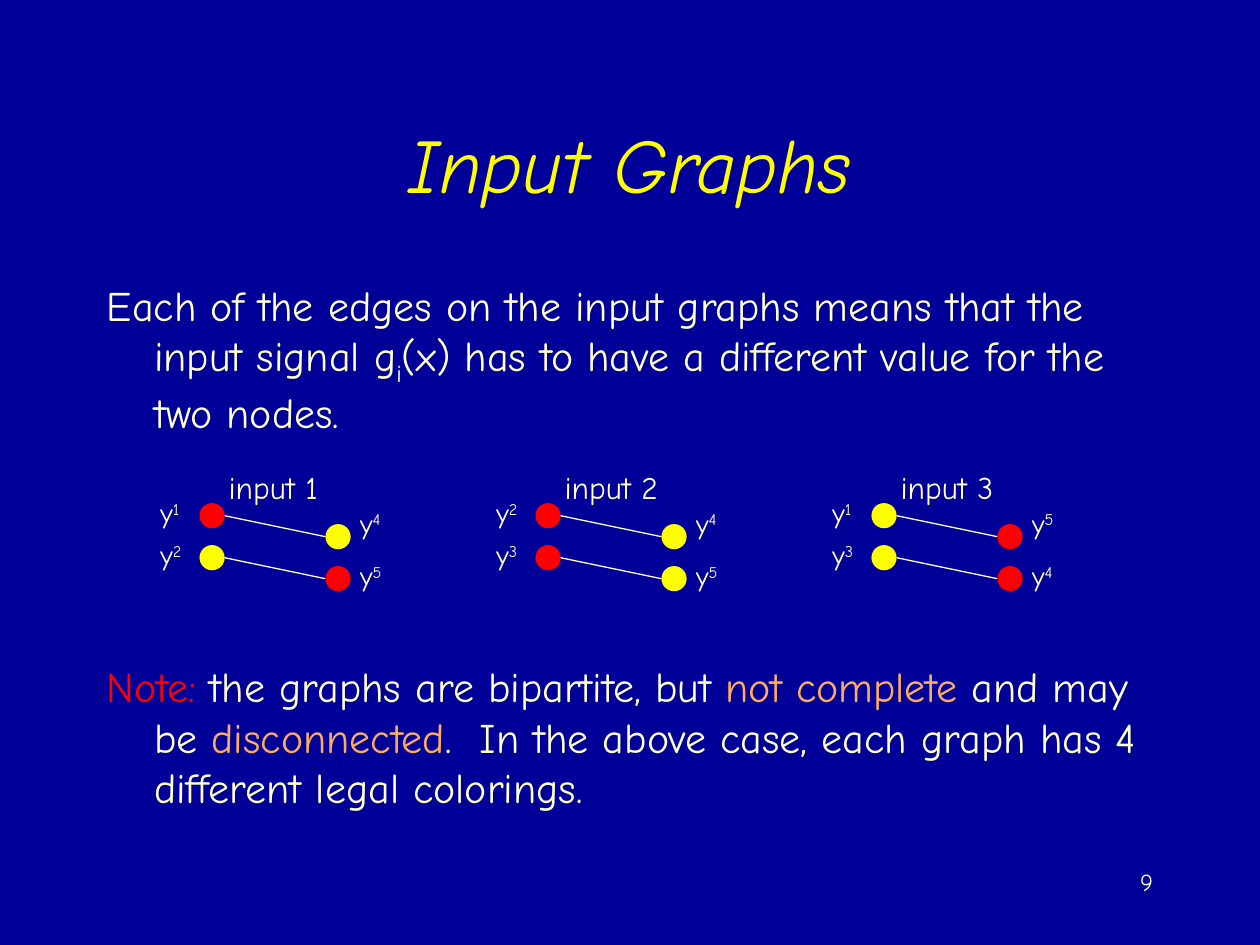
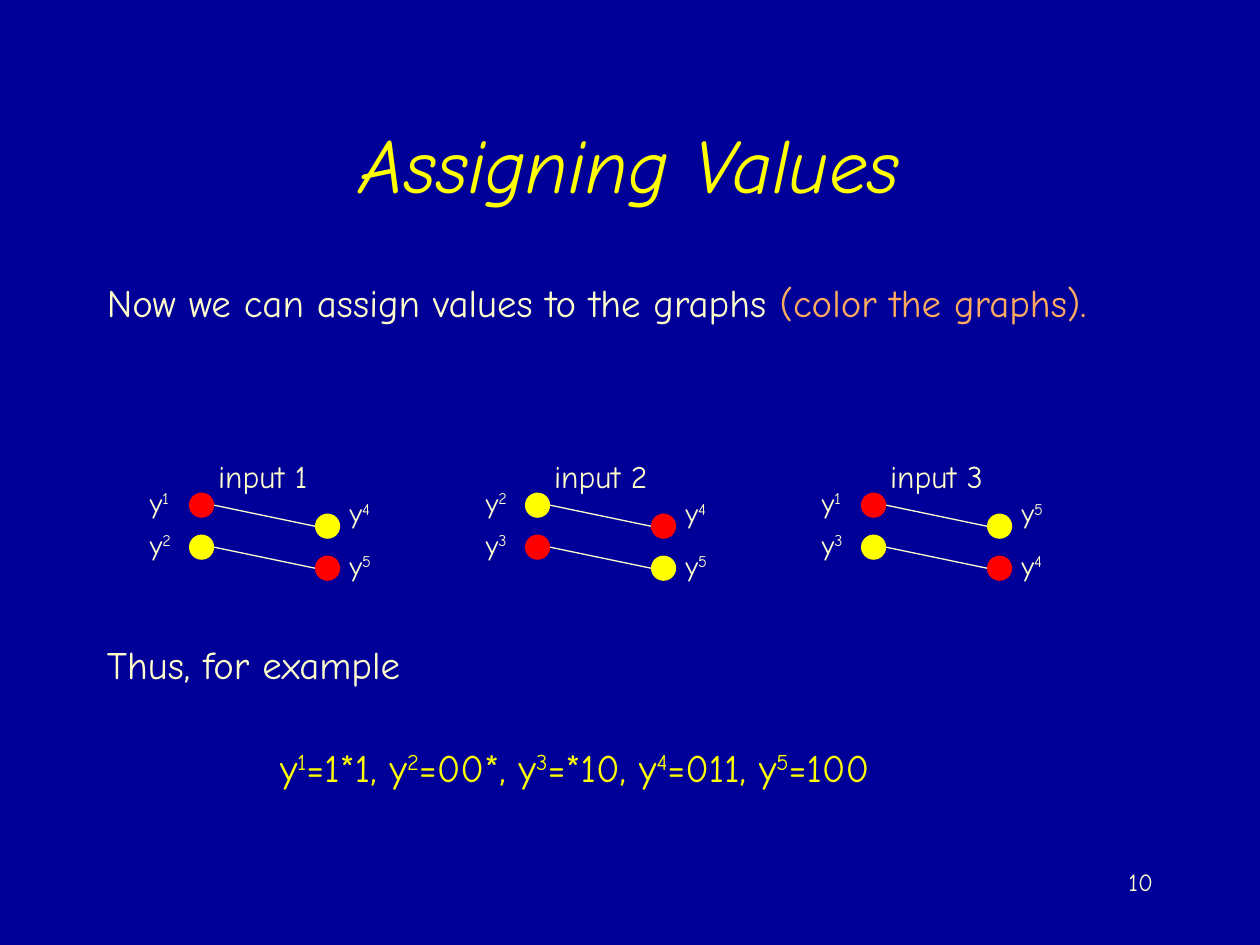
"""Build two slides about input graphs and their colorings."""
from lxml import etree
from pptx import Presentation
from pptx import util as u
from pptx.dml.color import RGBColor
from pptx.enum import shapes, text
from pptx.oxml.ns import qn

Pt = u.Pt
NAVY = RGBColor(0x00, 0x00, 0x99)
YELLOW = RGBColor(0xFF, 0xFF, 0x00)
CREAM = RGBColor(0xFF, 0xFF, 0xCC)
RED = RGBColor(0xFF, 0x00, 0x00)
ORANGE = RGBColor(0xFF, 0xAB, 0x5F)
FONT = "Comic Neue"
SUPER, SUB = 30, -25
HANGING = 27
NODE = 14.4
GRAPH_PITCH, COLUMN_PITCH, ROW_PITCH, COLUMN_DROP = 192, 72, 24, 12

INPUT_LABELS = [("1", "2", "4", "5"), ("2", "3", "4", "5"), ("1", "3", "5", "4")]
LEGAL_COLORINGS = [(RED, YELLOW, YELLOW, RED), (RED, RED, YELLOW, YELLOW),
                   (YELLOW, YELLOW, RED, RED)]
ASSIGNED_COLORINGS = [(RED, YELLOW, YELLOW, RED), (YELLOW, RED, RED, YELLOW),
                      (RED, YELLOW, YELLOW, RED)]
ASSIGNMENTS = ["1*1", "00*", "*10", "011", "100"]


def add_text_box(slide, left, top, width, height, wrap=True):
    """Add an empty text box and return its text frame."""
    frame = slide.shapes.add_textbox(Pt(left), Pt(top), Pt(width), Pt(height)).text_frame
    frame.word_wrap = wrap
    if not wrap:
        frame.auto_size = text.MSO_AUTO_SIZE.SHAPE_TO_FIT_TEXT
    return frame


def add_run(paragraph, words, size, color=CREAM, baseline=0, italic=False):
    """Append one formatted run to a paragraph."""
    run = paragraph.add_run()
    run.text = words
    run.font.name = FONT
    run.font.size = Pt(size)
    run.font.color.rgb = color
    if italic:
        run.font.italic = True
    if baseline:
        run.font._element.set("baseline", str(baseline * 1000))


def fill_paragraph(paragraph, size, runs, space_before=0, margin=HANGING, indent=-HANGING):
    """Set the indents and spacing of a body paragraph and add its runs."""
    properties = paragraph._p.get_or_add_pPr()
    properties.set("marL", str(Pt(margin)))
    properties.set("indent", str(Pt(indent)))
    if space_before:
        paragraph.space_before = Pt(space_before)
    for run in runs:
        add_run(paragraph, run[0], size, *run[1:])


def add_slide(presentation, title, number):
    """Add a slide with the shared background, title and page number."""
    slide = presentation.slides.add_slide(presentation.slide_layouts[6])
    slide.background.fill.solid()
    slide.background.fill.fore_color.rgb = NAVY
    frame = add_text_box(slide, 54, 48, 612, 90)
    frame.vertical_anchor = text.MSO_ANCHOR.MIDDLE
    frame.paragraphs[0].alignment = text.PP_ALIGN.CENTER
    add_run(frame.paragraphs[0], title, 44, YELLOW, italic=True)
    footer = add_text_box(slide, 516, 492, 150, 36).paragraphs[0]
    footer.alignment = text.PP_ALIGN.RIGHT
    add_run(footer, str(number), 14)
    return slide


def add_body(slide):
    """Add the shared body text frame."""
    return add_text_box(slide, 54, 156, 612, 324)


def add_node(slide, left, top, color):
    """Add one colored graph node."""
    shape = slide.shapes.add_shape(shapes.MSO_SHAPE.OVAL, Pt(left), Pt(top), Pt(NODE), Pt(NODE))
    shape.shadow.inherit = False
    shape.fill.solid()
    shape.fill.fore_color.rgb = color
    shape.line.fill.background()


def add_edge(slide, left, top):
    """Join the left node at this place to its right partner."""
    start_x, start_y = left + NODE, top + NODE / 2
    edge = slide.shapes.add_connector(
        shapes.MSO_CONNECTOR.STRAIGHT, Pt(start_x), Pt(start_y),
        Pt(left + COLUMN_PITCH), Pt(start_y + COLUMN_DROP))
    edge.line.color.rgb = CREAM
    edge.line.width = Pt(0.75)
    etree.SubElement(edge._element.spPr, qn("a:effectLst"))


def add_node_label(slide, left, top, index):
    """Add the label y with a superscript index."""
    paragraph = add_text_box(slide, left, top, 27.4, 26.5, wrap=False).paragraphs[0]
    add_run(paragraph, "y", 16)
    add_run(paragraph, index, 16, baseline=SUPER)


def add_graph(slide, left, top, caption, labels, colors):
    """Add a two-edge bipartite graph; nodes run down the left, then the right."""
    for position, (index, color) in enumerate(zip(labels, colors)):
        column, row = divmod(position, 2)
        row_top = top + row * ROW_PITCH
        add_node(slide, left + column * COLUMN_PITCH, row_top + column * COLUMN_DROP, color)
        if column:
            add_node_label(slide, left + 84.75, top - 1.75 + row * 30, index)
        else:
            add_edge(slide, left, row_top)
            add_node_label(slide, left - 29.5, row_top - 7.75, index)
    frame = add_text_box(slide, left + 9.5, top - 23.75, 73.4, 28.8, wrap=False)
    add_run(frame.paragraphs[0], caption, 18)


def add_graph_row(slide, left, top, colorings):
    """Add the three input graphs side by side."""
    for order, (labels, colors) in enumerate(zip(INPUT_LABELS, colorings)):
        add_graph(slide, left + order * GRAPH_PITCH, top, f"input {order + 1}", labels, colors)


def add_input_graphs_slide(presentation):
    """Add the slide that explains the input graphs."""
    slide = add_slide(presentation, "Input Graphs", 9)
    body = add_body(slide)
    fill_paragraph(body.paragraphs[0], 24, [
        ("Each of the edges on the input graphs means that the input signal g",),
        ("i", CREAM, SUB),
        ("(x) has to have a different value for the two nodes.",)])
    fill_paragraph(body.add_paragraph(), 24, [
        ("Note:", RED),
        (" the graphs are bipartite, but ",),
        ("not complete", ORANGE),
        (" and may be ",),
        ("disconnected", ORANGE),
        (".  In the above case, each graph has 4 different legal colorings.",)],
        space_before=127.8)
    add_graph_row(slide, 114, 287.5, LEGAL_COLORINGS)


def add_assigning_values_slide(presentation):
    """Add the slide that colors the graphs and reads off the values."""
    slide = add_slide(presentation, "Assigning Values", 10)
    body = add_body(slide)
    fill_paragraph(body.paragraphs[0], 22.2, [
        ("Now we can assign values to the graphs ",), ("(color the graphs).", ORANGE)])
    fill_paragraph(body.add_paragraph(), 22.2, [("Thus, for example",)], space_before=180)
    formula = []
    for index, value in enumerate(ASSIGNMENTS, 1):
        ending = ", " if index < len(ASSIGNMENTS) else ""
        formula += [("y", YELLOW), (str(index), YELLOW, SUPER), (f"={value}{ending}", YELLOW)]
    fill_paragraph(body.add_paragraph(), 22.2, formula, space_before=32, margin=99, indent=0)
    add_graph_row(slide, 108, 281.5, ASSIGNED_COLORINGS)


def main():
    """Build and save the presentation."""
    presentation = Presentation()
    presentation.slide_width, presentation.slide_height = Pt(720), Pt(540)
    add_input_graphs_slide(presentation)
    add_assigning_values_slide(presentation)
    presentation.save("out.pptx")


if __name__ == "__main__":
    main()
